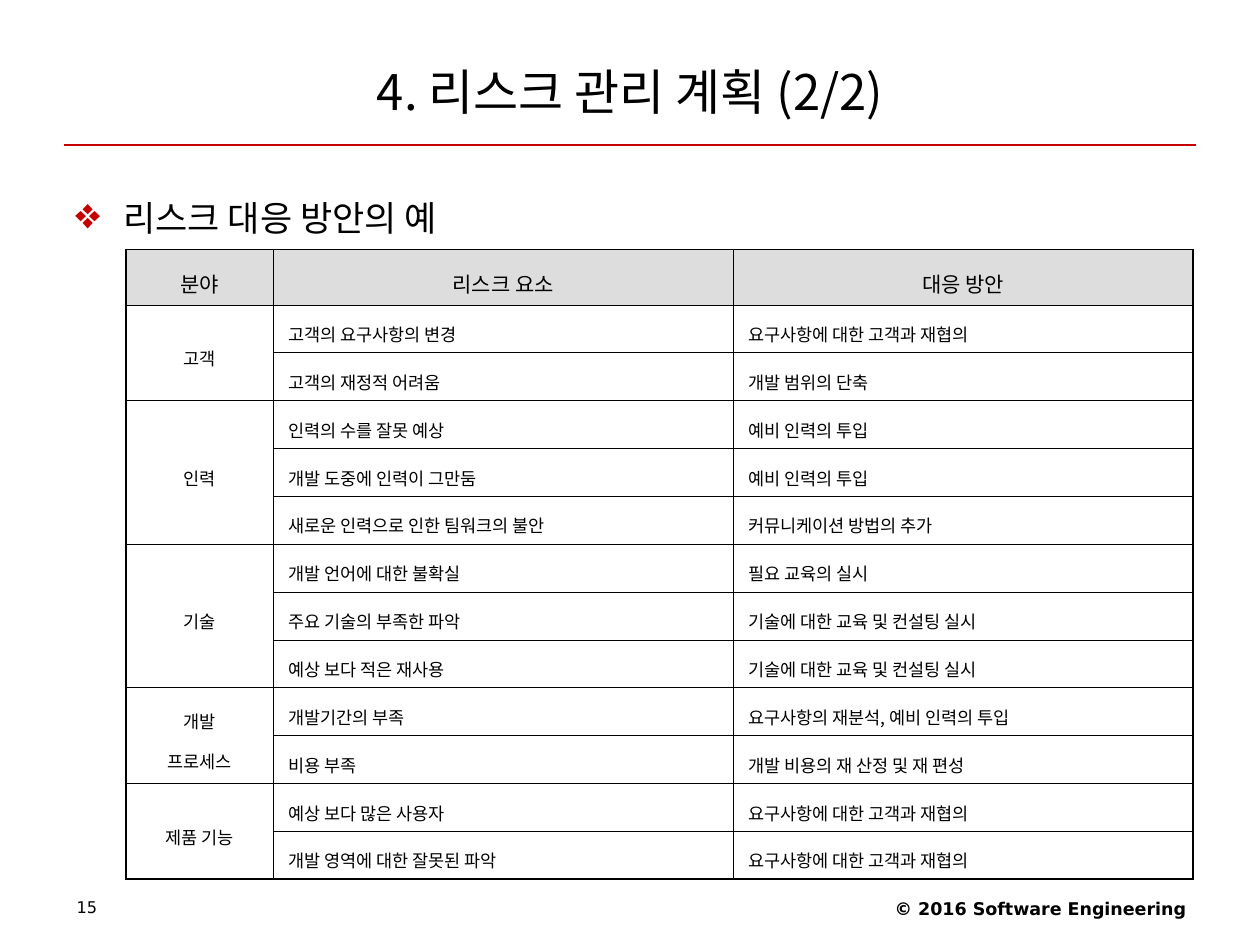
import lxml.etree
import pptx
import pptx.dml.color
import pptx.enum.shapes
import pptx.enum.text
import pptx.oxml.ns
import pptx.util

Inches = pptx.util.Inches
Pt = pptx.util.Pt
qn = pptx.oxml.ns.qn
ALIGN = pptx.enum.text.PP_ALIGN
ANCHOR = pptx.enum.text.MSO_ANCHOR

BLACK = pptx.dml.color.RGBColor(0x00, 0x00, 0x00)
RED = pptx.dml.color.RGBColor(0xC4, 0x00, 0x00)
GRAY = pptx.dml.color.RGBColor(0xDD, 0xDD, 0xDD)
KOREAN = "Noto Sans CJK KR"
LATIN = "DejaVu Sans"


def format_text(text_frame, size, font, align=ALIGN.LEFT, spacing=1.0, bold=False):
    text_frame.word_wrap = True
    for paragraph in text_frame.paragraphs:
        paragraph.alignment = align
        paragraph.line_spacing = spacing
        for run in paragraph.runs:
            run.font.size = Pt(size)
            run.font.bold = bold
            run.font.color.rgb = BLACK
            run.font.name = font
            east_asian = lxml.etree.SubElement(run.font._element, qn("a:ea"))
            east_asian.set("typeface", font)


def add_border(cell, side, width):
    properties = cell._tc.get_or_add_tcPr()
    line = lxml.etree.SubElement(properties, qn("a:ln" + side), w=str(Pt(width)))
    fill = lxml.etree.SubElement(line, qn("a:solidFill"))
    lxml.etree.SubElement(fill, qn("a:srgbClr"), val=str(BLACK))


presentation = pptx.Presentation()
presentation.slide_width = Inches(10)
presentation.slide_height = Inches(7.5)
slide = presentation.slides.add_slide(presentation.slide_layouts[5])

# Title and the rule under it
title = slide.shapes.title
title.left, title.top = Inches(0.5), Inches(0.3)
title.width, title.height = Inches(9), Inches(0.85)
title.text_frame.text = "4. 리스크 관리 계획 (2/2)"
title.text_frame.vertical_anchor = ANCHOR.MIDDLE
format_text(title.text_frame, 28, KOREAN, ALIGN.CENTER)

rule = slide.shapes.add_connector(
    pptx.enum.shapes.MSO_CONNECTOR.STRAIGHT,
    Inches(0.51), Inches(1.15), Inches(9.49), Inches(1.15))
rule.line.color.rgb = RED
rule.line.width = Pt(0.75)
lxml.etree.SubElement(rule._element.spPr, qn("a:effectLst"))

# Bulleted heading
heading = slide.shapes.add_textbox(Inches(0.5), Inches(1.38), Inches(9), Inches(5.51))
heading.text_frame.text = "리스크 대응 방안의 예"
bullet = heading.text_frame.paragraphs[0]._p.get_or_add_pPr()
bullet.set("marL", str(Inches(0.38)))
bullet.set("indent", str(-Inches(0.38)))
bullet_color = lxml.etree.SubElement(bullet, qn("a:buClr"))
lxml.etree.SubElement(bullet_color, qn("a:srgbClr"), val=str(RED))
lxml.etree.SubElement(bullet, qn("a:buSzPct"), val="125000")
lxml.etree.SubElement(bullet, qn("a:buChar"), char="❖")
format_text(heading.text_frame, 20, KOREAN, spacing=1.4)

# Risk table: area, then its pairs of risk and response
headers = ["분야", "리스크 요소", "대응 방안"]
areas = [
    ("고객", [("고객의 요구사항의 변경", "요구사항에 대한 고객과 재협의"),
            ("고객의 재정적 어려움", "개발 범위의 단축")]),
    ("인력", [("인력의 수를 잘못 예상", "예비 인력의 투입"),
            ("개발 도중에 인력이 그만둠", "예비 인력의 투입"),
            ("새로운 인력으로 인한 팀워크의 불안", "커뮤니케이션 방법의 추가")]),
    ("기술", [("개발 언어에 대한 불확실", "필요 교육의 실시"),
            ("주요 기술의 부족한 파악", "기술에 대한 교육 및 컨설팅 실시"),
            ("예상 보다 적은 재사용", "기술에 대한 교육 및 컨설팅 실시")]),
    ("개발\n프로세스", [("개발기간의 부족", "요구사항의 재분석, 예비 인력의 투입"),
                  ("비용 부족", "개발 비용의 재 산정 및 재 편성")]),
    ("제품 기능", [("예상 보다 많은 사용자", "요구사항에 대한 고객과 재협의"),
               ("개발 영역에 대한 잘못된 파악", "요구사항에 대한 고객과 재협의")]),
]
rows = [headers]
merges = []
for area, risks in areas:
    merges.append((len(rows), len(rows) + len(risks) - 1))
    for index, (risk, response) in enumerate(risks):
        rows.append([area if index == 0 else "", risk, response])

last_row, last_column = len(rows) - 1, len(headers) - 1
last_area_row = merges[-1][0]
table = slide.shapes.add_table(
    len(rows), len(headers), Inches(1), Inches(1.98), Inches(8.47), Inches(5)).table
table.first_row = False
table.horz_banding = False
for column, width in zip(table.columns, [1.17, 3.65, 3.65]):
    column.width = Inches(width)

for row_index, texts in enumerate(rows):
    is_header = row_index == 0
    table.rows[row_index].height = Inches(0.44 if is_header else 0.38)
    for column_index, text in enumerate(texts):
        cell = table.cell(row_index, column_index)
        is_area = column_index == 0 and not is_header
        cell.text_frame.text = text
        cell.margin_left = cell.margin_right = Inches(0.12)
        cell.margin_top = cell.margin_bottom = Inches(0.05)
        cell.vertical_anchor = ANCHOR.MIDDLE if is_area else ANCHOR.TOP
        align = ALIGN.CENTER if is_header or is_area else ALIGN.LEFT
        format_text(cell.text_frame, 12 if is_header else 10, KOREAN, align, 1.4)
        for paragraph in cell.text_frame.paragraphs[1:]:
            paragraph.space_before = Pt(2.5)
        bottom_row = last_area_row if is_area else last_row
        outer_sides = {"L": column_index == 0, "R": column_index == last_column,
                       "T": is_header, "B": row_index >= bottom_row}
        for side, is_outer in outer_sides.items():
            add_border(cell, side, 1.08 if is_outer else 0.45)
        if is_header:
            cell.fill.solid()
            cell.fill.fore_color.rgb = GRAY
        else:
            cell.fill.background()

for first, last in merges:
    table.cell(first, 0).merge(table.cell(last, 0))

# Footer: page number and copyright
page_number = slide.shapes.add_textbox(Inches(0.51), Inches(7.09), Inches(2.33), Inches(0.28))
page_number.text_frame.text = "15"
format_text(page_number.text_frame, 9.2, LATIN, spacing=0.9)

copyright_line = slide.shapes.add_textbox(Inches(6.34), Inches(7.08), Inches(3.17), Inches(0.29))
copyright_line.text_frame.text = "© 2016 Software Engineering"
format_text(copyright_line.text_frame, 10, LATIN, ALIGN.RIGHT, bold=True)

presentation.save("out.pptx")
